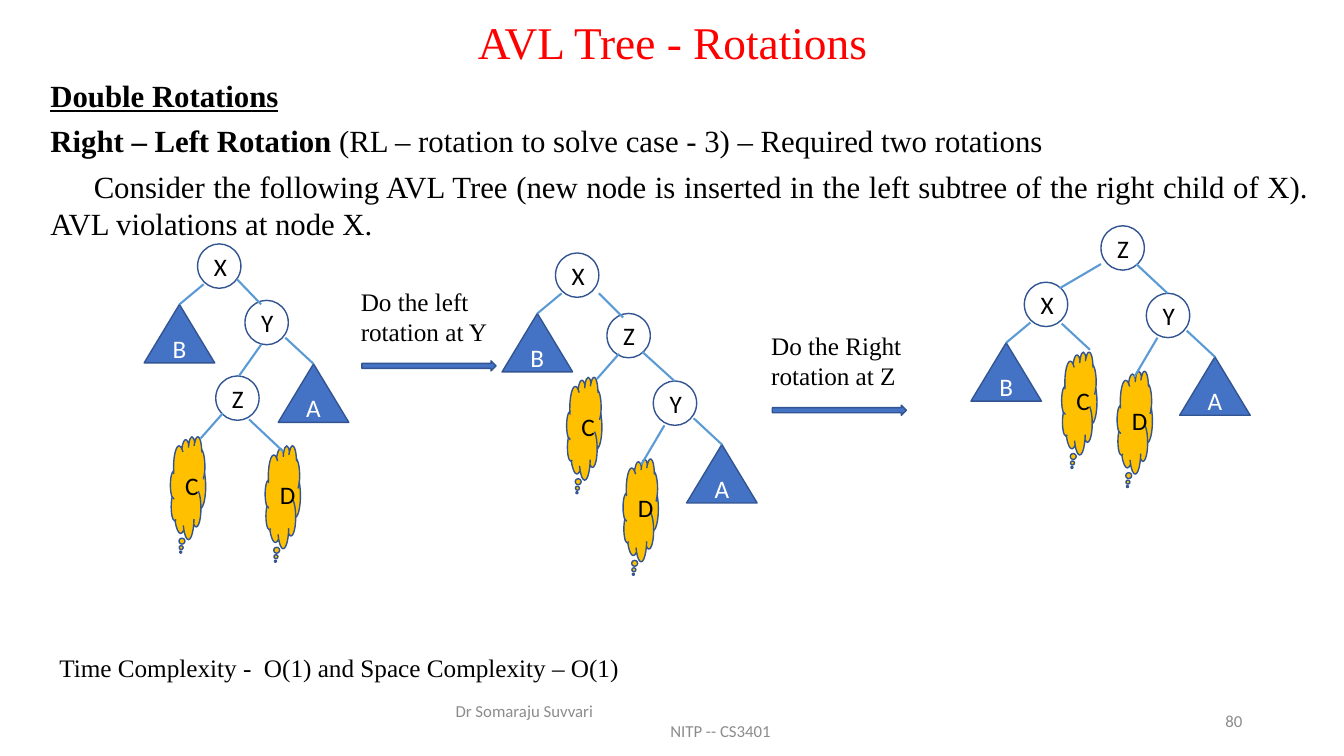
from pptx import Presentation
from pptx import util as u
from pptx.dml.color import RGBColor
from pptx.enum import shapes, text
from pptx.oxml.ns import qn
from lxml import etree

RED = RGBColor(0xFF, 0x00, 0x00)
BLACK = RGBColor(0x00, 0x00, 0x00)
WHITE = RGBColor(0xFF, 0xFF, 0xFF)
GREY = RGBColor(0x8C, 0x8C, 0x8C)
BLUE = RGBColor(0x44, 0x72, 0xC4)
NAVY = RGBColor(0x32, 0x54, 0x91)
SKY = RGBColor(0x5B, 0x9B, 0xD5)
GOLD = RGBColor(0xFF, 0xC0, 0x00)
SERIF, SANS = "Times New Roman", "Calibri"
LEFT, CENTER = text.PP_ALIGN.LEFT, text.PP_ALIGN.CENTER
RIGHT, JUSTIFY = text.PP_ALIGN.RIGHT, text.PP_ALIGN.JUSTIFY
TOP, MIDDLE = text.MSO_ANCHOR.TOP, text.MSO_ANCHOR.MIDDLE

# Each tree: nodes (left, top), cloud subtrees (left, top) and inner edges.
# Every X carries triangle B on its left, every Y triangle A on its right.
TREES = [
    {"nodes": {"X": (1.96, 2.42), "Y": (2.43, 2.98), "Z": (2.14, 3.73)},
     "clouds": {"C": (1.69, 4.33), "D": (2.63, 4.42)},
     "edges": [(2.35, 2.77, 2.59, 3.02), (2.59, 3.42, 2.37, 3.73),
               (2.47, 4.16, 2.81, 4.48), (2.21, 4.10, 1.99, 4.35)]},
    {"nodes": {"X": (5.51, 2.51), "Z": (6.02, 3.11), "Y": (6.48, 3.78)},
     "clouds": {"C": (5.62, 3.74), "D": (6.18, 4.55)},
     "edges": [(5.94, 2.91, 6.18, 3.15), (6.37, 3.49, 6.69, 3.78),
               (6.14, 3.51, 5.92, 3.76), (6.59, 4.22, 6.36, 4.61)]},
    {"nodes": {"Z": (10.92, 2.24), "X": (10.16, 2.80), "Y": (11.37, 2.91)},
     "clouds": {"D": (11.08, 3.68), "C": (10.53, 3.49)},
     "edges": [(11.27, 2.62, 11.58, 2.91), (11.48, 3.35, 11.25, 3.74),
               (10.92, 2.62, 10.51, 2.86), (10.53, 3.21, 10.81, 3.47)]},
]
# Node name: triangle label, triangle offset and edge start offset
TRIANGLES = {"X": ("B", (-0.53, 0.60), (0.06, 0.40)),
             "Y": ("A", (0.33, 0.63), (0.40, 0.37))}
STEPS = [("Do the left rotation at Y", 3.48, 2.79),
         ("Do the Right rotation at Z", 7.55, 3.23)]


def write(paragraph, content, size=18, font=SERIF, color=BLACK, bold=False,
          underline=False, align=LEFT):
    paragraph.alignment = align
    run = paragraph.add_run()
    run.text = content
    run.font.size = u.Pt(size)
    run.font.name = font
    run.font.color.rgb = color
    run.font.bold = bold
    run.font.underline = underline


def indent(paragraph, left=0, first=0):
    properties = paragraph._p.get_or_add_pPr()
    properties.set("marL", str(u.Inches(left)))
    properties.set("indent", str(u.Inches(first)))
    return properties


class RotationSlide:
    def __init__(self, presentation):
        self.slide = presentation.slides.add_slide(presentation.slide_layouts[1])
        self.shapes = self.slide.shapes

    def place(self, shape, left, top, width, height):
        shape.left, shape.top = u.Inches(left), u.Inches(top)
        shape.width, shape.height = u.Inches(width), u.Inches(height)

    def title(self, content):
        shape = self.shapes.title
        self.place(shape, 0.92, 0.17, 11.5, 0.54)
        frame = shape.text_frame
        frame.auto_size = text.MSO_AUTO_SIZE.NONE
        frame.vertical_anchor = MIDDLE
        frame.paragraphs[0].line_spacing = 0.9
        write(frame.paragraphs[0], content, size=32.4, color=RED, align=CENTER)

    def body(self, items):
        shape = self.slide.placeholders[1]
        self.place(shape, 0.4, 0.71, 12.68, 6.34)
        frame = shape.text_frame
        frame.auto_size = text.MSO_AUTO_SIZE.NONE
        for number, (first, runs) in enumerate(items):
            paragraph = frame.add_paragraph() if number else frame.paragraphs[0]
            properties = indent(paragraph, first=first)
            etree.SubElement(properties, qn("a:buNone"))
            paragraph.space_before = u.Pt(6 if number else 0)
            for content, style in runs:
                write(paragraph, content, size=22, align=JUSTIFY, **style)

    def text_box(self, lines, left, top, width, height, anchor=TOP, **style):
        box = self.shapes.add_textbox(u.Inches(left), u.Inches(top),
                                      u.Inches(width), u.Inches(height))
        frame = box.text_frame
        frame.word_wrap = True
        frame.vertical_anchor = anchor
        for number, (content, margin) in enumerate(lines):
            paragraph = frame.add_paragraph() if number else frame.paragraphs[0]
            indent(paragraph, left=margin)
            write(paragraph, content, **style)

    def block(self, kind, left, top, width, height, fill=None, label="",
              color=BLACK):
        shape = self.shapes.add_shape(kind, u.Inches(left), u.Inches(top),
                                      u.Inches(width), u.Inches(height))
        shape.shadow.inherit = False
        if fill is None:
            shape.fill.background()
        else:
            shape.fill.solid()
            shape.fill.fore_color.rgb = fill
        shape.line.color.rgb = NAVY
        shape.line.width = u.Pt(1)
        if label:
            shape.text_frame.vertical_anchor = MIDDLE
            write(shape.text_frame.paragraphs[0], label, font=SANS,
                  color=color, align=CENTER)

    def edge(self, *ends):
        line = self.shapes.add_connector(shapes.MSO_CONNECTOR.STRAIGHT,
                                         *[u.Inches(end) for end in ends])
        line.line.color.rgb = SKY
        line.line.width = u.Pt(1.5)
        etree.SubElement(line._element.spPr, qn("a:effectLst"))

    def tree(self, nodes, clouds, edges):
        for name, (left, top) in nodes.items():
            self.block(shapes.MSO_SHAPE.OVAL, left, top, 0.43, 0.44, label=name)
            if name in TRIANGLES:
                label, (across, down), (start_x, start_y) = TRIANGLES[name]
                self.block(shapes.MSO_SHAPE.ISOSCELES_TRIANGLE, left + across,
                           top + down, 0.7, 0.58, BLUE, label, WHITE)
                self.edge(left + start_x, top + start_y,
                          left + across + 0.35, top + down)
        for name, (left, top) in clouds.items():
            self.block(shapes.MSO_SHAPE.CLOUD_CALLOUT, left, top, 0.35, 1.02,
                       GOLD, name)
        for ends in edges:
            self.edge(*ends)


def main():
    presentation = Presentation()
    presentation.slide_width = u.Inches(13.33)
    presentation.slide_height = u.Inches(7.5)
    page = RotationSlide(presentation)

    # Title and introduction
    page.title("AVL Tree - Rotations")
    page.body([
        (0, [("Double Rotations", {"bold": True, "underline": True})]),
        (0, [("Right – Left Rotation ", {"bold": True}),
             ("(RL – rotation to solve case - 3) – Required two rotations", {})]),
        (0.43, [("Consider the following AVL Tree (new node is inserted in the "
                 "left subtree of the right child of X). AVL violations at "
                 "node X.", {})]),
    ])

    # Trees before, between and after the rotations
    for tree in TREES:
        page.tree(**tree)

    # Rotation steps with their arrows
    for caption, left, top in STEPS:
        page.text_box([(caption, 0)], left, top, 1.55, 0.71)
        page.block(shapes.MSO_SHAPE.RIGHT_ARROW, left + 0.11, top + 0.79,
                   1.33, 0.1, BLUE)

    # Complexity and footer
    page.text_box([("Time Complexity -  O(1) and Space Complexity – O(1)", 0)],
                  0.49, 6.42, 6.67, 0.4, align=JUSTIFY)
    footer = {"anchor": MIDDLE, "size": 12, "font": SANS, "color": GREY}
    page.text_box([("Dr Somaraju Suvvari", 0), ("NITP -- CS3401", 2.13)],
                  4.42, 6.95, 4.5, 0.4, **footer)
    page.text_box([("80", 0)], 9.42, 6.95, 3, 0.4, align=RIGHT, **footer)

    presentation.save("out.pptx")


if __name__ == "__main__":
    main()
